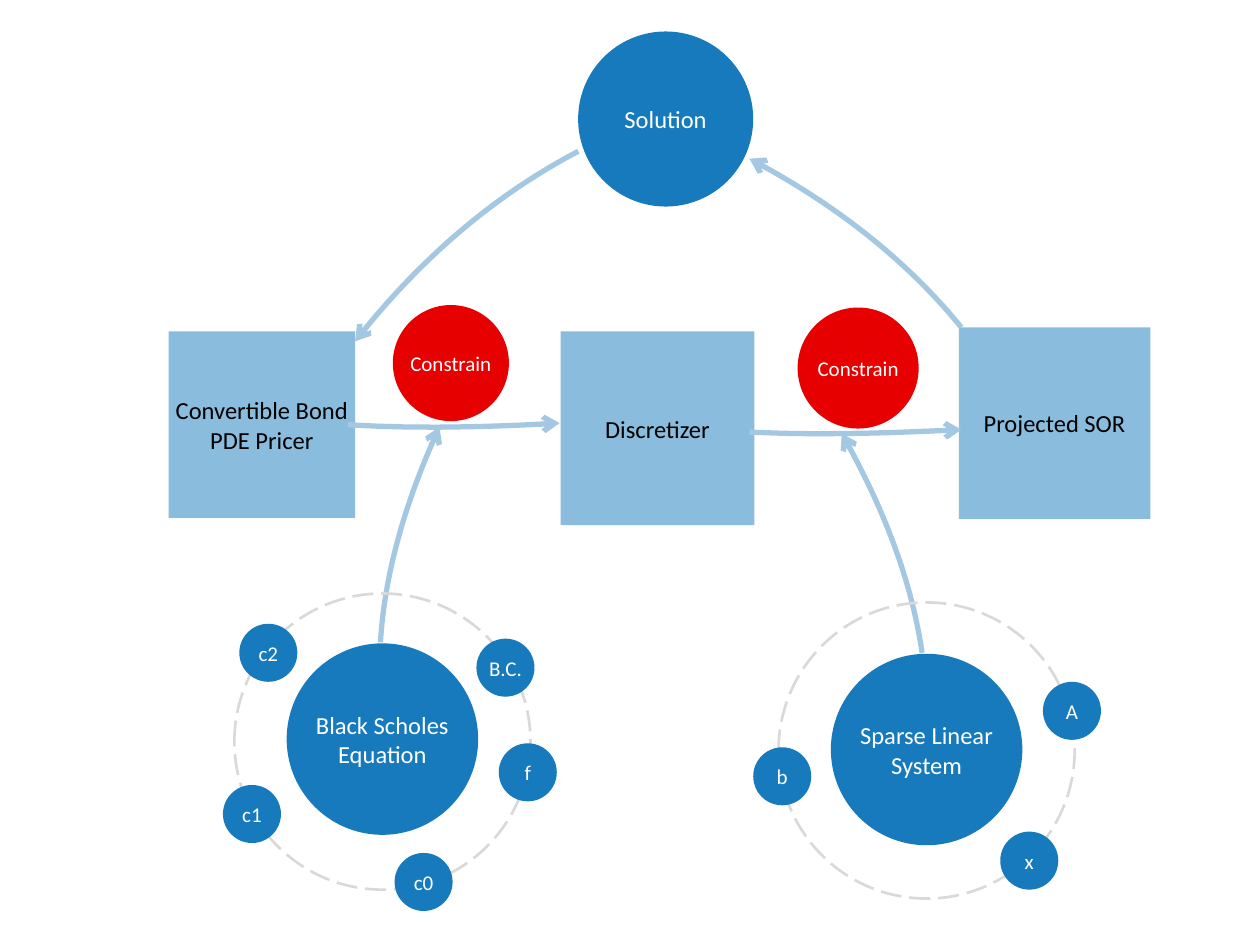
from dataclasses import dataclass

from lxml.etree import SubElement
from pptx import Presentation
from pptx.dml.color import RGBColor
from pptx.enum.dml import MSO_LINE
from pptx.enum.shapes import MSO_SHAPE
from pptx.enum.text import MSO_ANCHOR, PP_ALIGN
from pptx.oxml.ns import qn
from pptx.util import Cm, Pt


@dataclass(frozen=True)
class Theme:
    """Colours, font and type sizes of the slide."""
    blue: str = "177ABC"
    red: str = "E60000"
    arrow: str = "A4C7E2"
    ring: str = "D9D9D9"
    black: str = "000000"
    white: str = "FFFFFF"
    font: str = "Calibri"
    large: int = 14
    small: int = 12


THEME = Theme()

BOXES = [
    ("Convertible Bond PDE Pricer", 3.4, 6.68, 3.76),
    ("Discretizer", 11.3, 6.68, 3.91),
    ("Projected SOR", 19.33, 6.6, 3.86),
]
ARROWS = [
    ((7.01, 8.56), (8.94, 8.61), (11.28, 8.53)),
    ((15.11, 8.71), (17.04, 8.74), (19.38, 8.66)),
    ((7.67, 12.95), (8.03, 10.85), (8.86, 8.61)),
    ((18.59, 13.16), (18.03, 11), (16.97, 8.74)),
    ((11.66, 3.05), (9.27, 4.67), (7.16, 6.88)),
    ((19.38, 6.6), (17.5, 4.75), (15.11, 3.2)),
]
LIMITS = [(9.09, 7.32, 2.34), (17.3, 7.42, 2.44)]
ORBITS = [
    ("Black Scholes Equation", 7.71, 14.9, 14.95,
     [("c2", -2.3, -1.79), ("c1", -2.63, 1.46), ("c0", 0.83, 2.83),
      ("f", 2.93, 0.62), ("B.C.", 2.48, -1.49)]),
    ("Sparse Linear System", 18.68, 15.11, 15.13,
     [("A", 2.93, -0.8), ("x", 2.07, 2.22), ("b", -2.91, 0.52)]),
]


def add_form(slide, kind, left, top, size, fill=None):
    """Add a square-framed shape with no outline."""
    form = slide.shapes.add_shape(kind, Cm(left), Cm(top), Cm(size), Cm(size))
    form.shadow.inherit = False
    form.line.fill.background()
    if fill:
        form.fill.solid()
        form.fill.fore_color.rgb = RGBColor.from_string(fill)
    else:
        form.fill.background()
    return form


def set_text(form, text, size, color):
    """Write centred text without margins."""
    frame = form.text_frame
    frame.word_wrap = True
    frame.vertical_anchor = MSO_ANCHOR.MIDDLE
    frame.margin_left = frame.margin_right = 0
    frame.margin_top = frame.margin_bottom = 0
    frame.text = text
    para = frame.paragraphs[0]
    para.alignment = PP_ALIGN.CENTER
    para.font.name = THEME.font
    para.font.size = Pt(size)
    para.font.color.rgb = RGBColor.from_string(color)


def set_line(form, color, width):
    """Give a shape a solid outline colour and width."""
    form.line.color.rgb = RGBColor.from_string(color)
    form.line.width = Pt(width)


def add_box(slide, text, left, top, size):
    """Add a half-transparent square with dark text."""
    box = add_form(slide, MSO_SHAPE.RECTANGLE, left, top, size, THEME.blue)
    color = next(box.fill._xPr.iter(qn("a:srgbClr")))
    SubElement(color, qn("a:alpha"), val="50000")
    set_text(box, text, THEME.large, THEME.black)


def add_disc(slide, text, x, y, width, size, fill=THEME.blue):
    """Add a filled circle around a centre point."""
    disc = add_form(slide, MSO_SHAPE.OVAL, x - width / 2, y - width / 2, width, fill)
    set_text(disc, text, size, THEME.white)


def add_ring(slide, x, y, width):
    """Add a dashed circle around a centre point."""
    ring = add_form(slide, MSO_SHAPE.OVAL, x - width / 2, y - width / 2, width)
    set_line(ring, THEME.ring, 1.5)
    ring.line.dash_style = MSO_LINE.LONG_DASH


def add_arrow(slide, start, mid, end, steps=24):
    """Add an open arrow bent through three points."""
    def place(t):
        """Return the point at share t of the bend."""
        parts = ((1 - t) * (1 - 2 * t), 4 * t * (1 - t), t * (2 * t - 1))
        return tuple(
            Cm(sum(part * spot for part, spot in zip(parts, axis)))
            for axis in zip(start, mid, end))

    points = [place(step / steps) for step in range(steps + 1)]
    pen = slide.shapes.build_freeform(*points[0], scale=1.0)
    pen.add_line_segments(points[1:], close=False)
    arrow = pen.convert_to_shape()
    arrow.shadow.inherit = False
    arrow.fill.background()
    set_line(arrow, THEME.arrow, 3)
    SubElement(arrow.line._get_or_add_ln(), qn("a:tailEnd"), type="arrow")


def main():
    """Build the solver diagram and save it."""
    deck = Presentation()
    deck.slide_width, deck.slide_height = Cm(25.4), Cm(19.05)
    slide = deck.slides.add_slide(deck.slide_layouts[6])
    for box in BOXES:
        add_box(slide, *box)
    for text, x, y, *rest in ORBITS:
        add_disc(slide, text, x, y, 3.86, THEME.large)
    add_disc(slide, "Solution", 13.42, 2.4, 3.53, THEME.large)
    for arrow in ARROWS:
        add_arrow(slide, *arrow)
    for text, x, y, mid, moons in ORBITS:
        add_ring(slide, x, mid, 5.97)
        for name, right, down in moons:
            add_disc(slide, name, x + right, mid + down, 1.17, THEME.small)
    for x, y, width in LIMITS:
        add_disc(slide, "Constrain", x, y, width, THEME.small, THEME.red)
    deck.save("out.pptx")


main()
